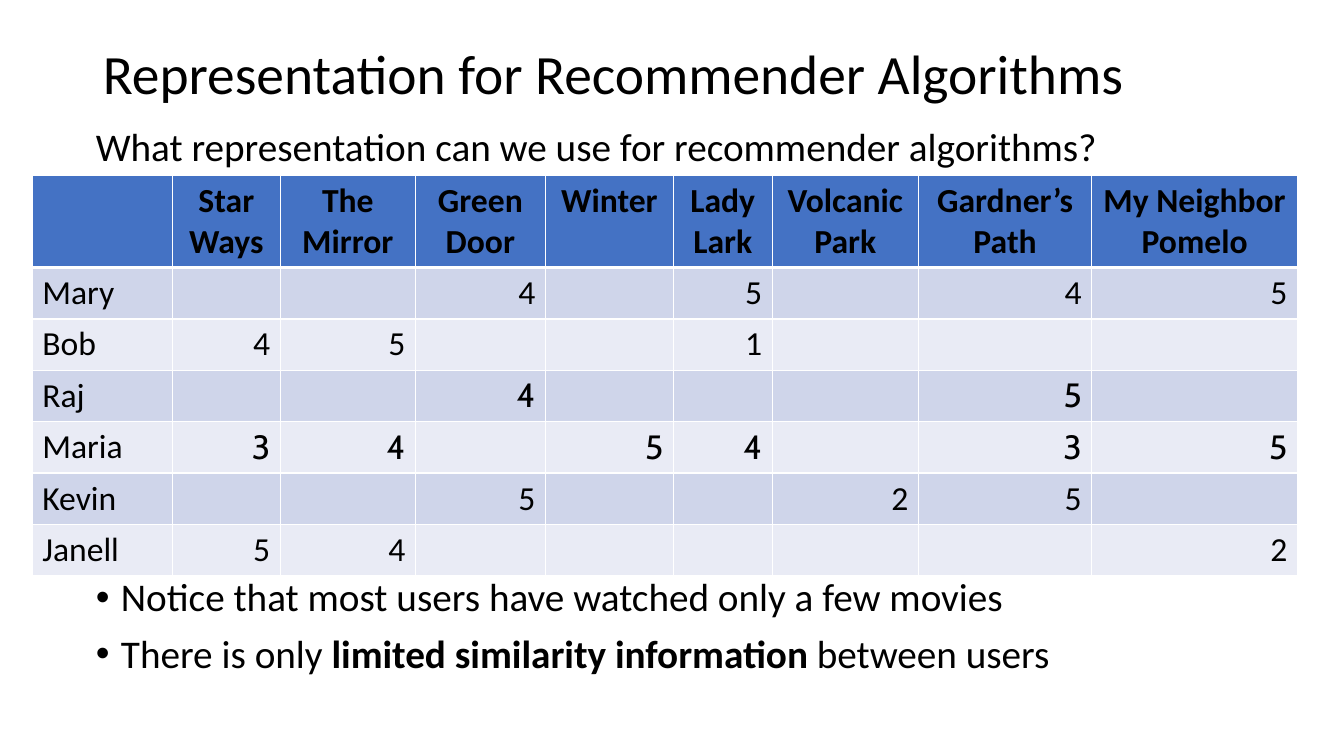
import pptx
import pptx.util
import pptx.dml.color
import pptx.enum.text
import pptx.oxml
import pptx.oxml.ns
from pptx.util import Inches

TITLE = "Representation for Recommender Algorithms"
BODY = [
    {"runs": [("What representation can we use for recommender algorithms?", False)],
     "bullet": False, "before": 0},
    {"runs": [("Notice that most users have watched only a few movies", False)],
     "bullet": True, "before": 291},
    {"runs": [("There is only ", False), ("limited similarity information ", True),
              ("between users", False)],
     "bullet": True, "before": 10},
]
MOVIES = ["", "Star Ways", "The Mirror", "Green Door", "Winter", "Lady Lark",
          "Volcanic Park", "Gardner’s Path", "My Neighbor\nPomelo"]
RATINGS = [
    ("Mary", "", "", "4", "", "5", "", "4", "5"),
    ("Bob", "4", "5", "", "", "1", "", "", ""),
    ("Raj", "", "", "4", "", "", "", "5", ""),
    ("Maria", "3", "4", "", "5", "4", "", "3", "5"),
    ("Kevin", "", "", "5", "", "", "2", "5", ""),
    ("Janell", "5", "4", "", "", "", "", "", "2"),
]
CABIN_USERS = {"Raj", "Maria"}
COLUMN_WIDTHS = [1.39, 1.07, 1.34, 1.29, 1.27, 0.98, 1.45, 1.72, 2.04]
HEADER_HEIGHT, RATING_HEIGHT = 0.9, 0.51
HEADER_FILL, BAND_FILLS = "4472C4", ["CFD5EA", "E9EBF5"]
BLACK, WHITE = "000000", "FFFFFF"
ALIGN = pptx.enum.text.PP_ALIGN


def set_color(color_format, color):
    color_format.rgb = pptx.dml.color.RGBColor.from_string(color)


def format_font(font, size, name="Calibri", bold=False):
    font.size = pptx.util.Pt(size)
    font.name = name
    font.bold = bold
    font.fill.solid()
    set_color(font.fill.fore_color, BLACK)


def place(shape, left, top, width, height):
    shape.left, shape.top = Inches(left), Inches(top)
    shape.width, shape.height = Inches(width), Inches(height)
    shape.text_frame.auto_size = pptx.enum.text.MSO_AUTO_SIZE.NONE
    shape.text_frame.word_wrap = True


def set_bullet(paragraph, bullet):
    properties = paragraph._p.get_or_add_pPr()
    indent = Inches(0.25) if bullet else 0
    properties.set("marL", str(indent))
    properties.set("indent", str(-indent))
    element = '<a:buChar char="•"' if bullet else "<a:buNone"
    if bullet:
        properties.append(pptx.oxml.parse_xml(
            f'<a:buFont {pptx.oxml.ns.nsdecls("a")} typeface="Arial"/>'))
    properties.append(pptx.oxml.parse_xml(f'{element} {pptx.oxml.ns.nsdecls("a")}/>'))


def set_borders(cell, top, bottom):
    properties = cell._tc.get_or_add_tcPr()
    for side, width in (("L", 1), ("R", 1), ("T", top), ("B", bottom)):
        properties.append(pptx.oxml.parse_xml(
            f'<a:ln{side} {pptx.oxml.ns.nsdecls("a")} w="{pptx.util.Pt(width)}">'
            f'<a:solidFill><a:srgbClr val="{WHITE}"/></a:solidFill></a:ln{side}>'))


def fill_cell(cell, text, fill, alignment, font_name, bold):
    cell.fill.solid()
    set_color(cell.fill.fore_color, fill)
    cell.text_frame.text = text
    for paragraph in cell.text_frame.paragraphs:
        paragraph.alignment = alignment
        for run in paragraph.runs:
            format_font(run.font, 24, font_name, bold)


def add_title(slide):
    title = slide.shapes.title
    place(title, 0.92, 0.42, 11.5, 0.68)
    title.text_frame.text = TITLE
    title.text_frame.vertical_anchor = pptx.enum.text.MSO_ANCHOR.MIDDLE
    paragraph = title.text_frame.paragraphs[0]
    paragraph.alignment = ALIGN.LEFT
    paragraph.line_spacing = 0.9
    format_font(paragraph.runs[0].font, 39.6)


def add_body(slide):
    body = slide.placeholders[1]
    place(body, 0.85, 1.22, 11.5, 6.06)
    frame = body.text_frame
    for index, item in enumerate(BODY):
        paragraph = frame.add_paragraph() if index else frame.paragraphs[0]
        set_bullet(paragraph, item["bullet"])
        paragraph.line_spacing = 0.9
        paragraph.space_before = pptx.util.Pt(item["before"])
        for text, bold in item["runs"]:
            run = paragraph.add_run()
            run.text = text
            format_font(run.font, 28, bold=bold)


def add_ratings_table(slide):
    rows = [MOVIES, *RATINGS]
    heights = [HEADER_HEIGHT] + [RATING_HEIGHT] * len(RATINGS)
    table = slide.shapes.add_table(
        len(rows), len(MOVIES), Inches(0.32), Inches(1.74),
        Inches(sum(COLUMN_WIDTHS)), Inches(sum(heights))).table
    for column, width in zip(table.columns, COLUMN_WIDTHS):
        column.width = Inches(width)
    for row_index, values in enumerate(rows):
        table.rows[row_index].height = Inches(heights[row_index])
        header = row_index == 0
        fill = HEADER_FILL if header else BAND_FILLS[(row_index - 1) % 2]
        for column_index, text in enumerate(values):
            cell = table.cell(row_index, column_index)
            name_column = column_index == 0
            alignment = ALIGN.CENTER if header else ALIGN.LEFT if name_column else ALIGN.RIGHT
            cabin = values[0] in CABIN_USERS and not name_column
            set_borders(cell, 3 if row_index == 1 else 1, 3 if header else 1)
            fill_cell(cell, text, fill, alignment, "Cabin" if cabin else "Calibri", header)


def main():
    presentation = pptx.Presentation()
    presentation.slide_width, presentation.slide_height = Inches(13.33), Inches(7.5)
    slide = presentation.slides.add_slide(presentation.slide_layouts[1])
    slide.background.fill.solid()
    set_color(slide.background.fill.fore_color, WHITE)
    add_title(slide)
    add_body(slide)
    add_ratings_table(slide)
    presentation.save("out.pptx")


if __name__ == "__main__":
    main()
